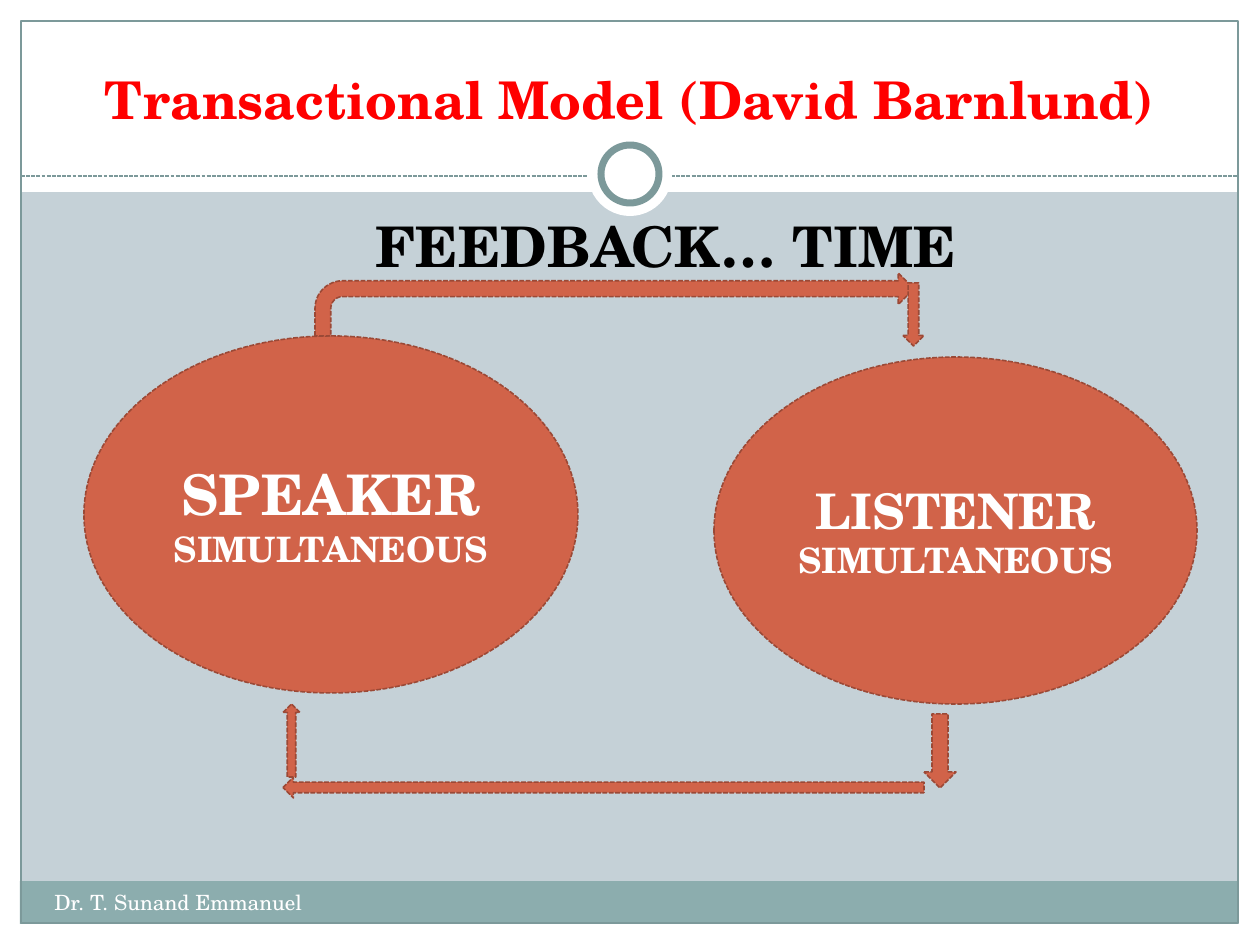
from lxml import etree
from pptx import Presentation, util as u
from pptx.dml.color import RGBColor
from pptx.enum import dml, shapes, text
from pptx.oxml.ns import qn

PX = 914400 / 126
FONT = "TeX Gyre Schola"
WHITE = RGBColor(0xFF, 0xFF, 0xFF)
BLACK = RGBColor(0x00, 0x00, 0x00)
RED = RGBColor(0xFF, 0x00, 0x00)
MIST = RGBColor(0xC5, 0xD1, 0xD7)
TEAL = RGBColor(0x8C, 0xAD, 0xAE)
SLATE = RGBColor(0x7C, 0x99, 0x9A)
CORAL = RGBColor(0xD1, 0x63, 0x49)
RUST = RGBColor(0x9B, 0x49, 0x36)
KIND = shapes.MSO_SHAPE
ALIGN = text.PP_ALIGN
DASH = dml.MSO_LINE.SQUARE_DOT  # sysDot is close; sysDash is set below

prs = Presentation()
prs.slide_width, prs.slide_height = u.Inches(10), u.Inches(7.5)
s = prs.slides.add_slide(prs.slide_layouts[6])
s.background.fill.solid()
s.background.fill.fore_color.rgb = MIST


def add_shape(kind, box, fill=None, line=None, width=0.75, dashed=False):
    sp = s.shapes.add_shape(kind, *(u.Emu(round(v * PX)) for v in box))
    sp.shadow.inherit = False
    if fill is None:
        sp.fill.background()
    else:
        sp.fill.solid()
        sp.fill.fore_color.rgb = fill
    if line is None:
        sp.line.fill.background()
    else:
        sp.line.color.rgb = line
        sp.line.width = u.Pt(width)
    if dashed:
        sp.line.dash_style = DASH
        sp.line._ln.find(qn("a:prstDash")).set("val", "sysDash")
    return sp


def write(tf, lines, align, anchor, color, bold=True):
    """Fill a text frame with one paragraph for each (words, size) pair."""
    tf.word_wrap = True
    tf.vertical_anchor = anchor
    for i, (words, size) in enumerate(lines):
        p = tf.paragraphs[0] if i == 0 else tf.add_paragraph()
        p.alignment = align
        r = p.add_run()
        r.text = words
        r.font.color.rgb = color
        for name, value in {"name": FONT, "size": u.Pt(size), "bold": bold}.items():
            setattr(r.font, name, value)


# Page frame
for box, fill in [
    ((0, 924, 1260, 21), WHITE),
    ((0, 0, 1260, 192), WHITE),
    ((0, 0, 21, 945), WHITE),
    ((1239, 0, 21, 945), WHITE),
    ((20, 881, 1218, 43), TEAL),
]:
    add_shape(KIND.RECTANGLE, box, fill)
add_shape(KIND.RECTANGLE, (21, 21, 1217, 902), line=SLATE)

rule = s.shapes.add_connector(
    shapes.MSO_CONNECTOR.STRAIGHT, *(u.Emu(round(v * PX)) for v in (21, 176, 1238, 176)))
rule.line.color.rgb = SLATE
rule.line.width = u.Pt(0.75)
rule.line.dash_style = DASH
rule.line._ln.find(qn("a:prstDash")).set("val", "sysDash")
etree.SubElement(rule._element.spPr, qn("a:effectLst"))

add_shape(KIND.OVAL, (588, 132, 84, 84), WHITE)
add_shape(KIND.OVAL, (601, 145, 58, 58), WHITE, SLATE, 4)

# Title, heading and footer
for box, words, size, align, anchor, color, bold in [
    ((42, 31, 1176, 105), "Transactional Model (David Barnlund)", 29.7,
     ALIGN.CENTER, text.MSO_ANCHOR.BOTTOM, RED, True),
    ((363, 205, 803, 80), "FEEDBACK… TIME", 32,
     ALIGN.LEFT, text.MSO_ANCHOR.TOP, BLACK, True),
    ((42, 883, 494, 50), "Dr. T. Sunand Emmanuel", 12,
     ALIGN.LEFT, text.MSO_ANCHOR.TOP, WHITE, False),
]:
    sp = s.shapes.add_textbox(*(u.Emu(round(v * PX)) for v in box))
    write(sp.text_frame, [(words, size)], align, anchor, color, bold)

# The two communicators
for box, role, size in [
    ((84, 336, 494, 357), "SPEAKER", 32),
    ((714, 357, 483, 347), "LISTENER", 28),
]:
    sp = add_shape(KIND.OVAL, box, CORAL, RUST, 0.9, True)
    write(sp.text_frame, [(role, size), ("SIMULTANEOUS", 20)],
          ALIGN.CENTER, text.MSO_ANCHOR.MIDDLE, WHITE)

# Feedback loop
for kind, box in [
    (KIND.BENT_ARROW, (315, 273, 599, 63)),
    (KIND.DOWN_ARROW, (903, 283, 21, 63)),
    (KIND.DOWN_ARROW, (924, 714, 32, 74)),
    (KIND.LEFT_ARROW, (283, 777, 641, 21)),
    (KIND.UP_ARROW, (283, 704, 17, 73)),
]:
    add_shape(kind, box, CORAL, RUST, 0.9, True)

prs.save("out.pptx")
